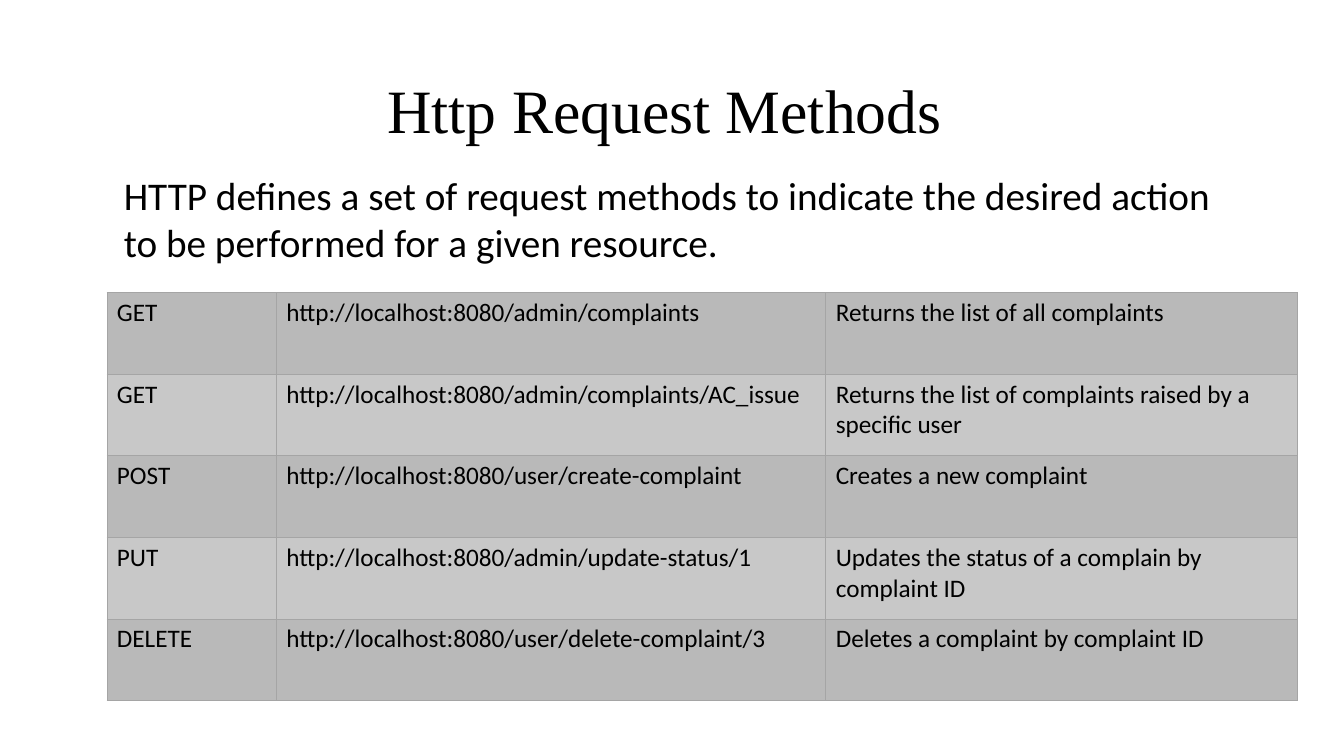
from lxml import etree
from pptx import Presentation
from pptx import util as u
from pptx.dml import color
from pptx.enum import text
from pptx.oxml import ns

WIDTH, HEIGHT = u.Inches(13.33), u.Inches(7.5)
COLORS = {"ink": "000000", "border": "A5A5A5", "odd": "B9B9B9", "even": "C8C8C8"}
COLUMN_WIDTHS = (1.68, 5.45, 4.68)
ROW_HEIGHT = 0.81
METHODS = (
    ("GET", "http://localhost:8080/admin/complaints",
     "Returns the list of all complaints"),
    ("GET", "http://localhost:8080/admin/complaints/AC_issue",
     "Returns the list of complaints raised by a specific user"),
    ("POST", "http://localhost:8080/user/create-complaint",
     "Creates a new complaint"),
    ("PUT", "http://localhost:8080/admin/update-status/1",
     "Updates the status of a complain by complaint ID"),
    ("DELETE", "http://localhost:8080/user/delete-complaint/3",
     "Deletes a complaint by complaint ID"),
)


def rgb(name):
    return color.RGBColor.from_string(COLORS[name])


def write(paragraph, words, size, font="Calibri"):
    paragraph.text = words
    paragraph.font.name = font
    paragraph.font.size = u.Pt(size)
    paragraph.font.color.rgb = rgb("ink")


def add_text(page, place, words, size, **style):
    """Add a wrapped text box and return it."""
    box = page.shapes.add_textbox(*(u.Inches(length) for length in place))
    box.text_frame.word_wrap = True
    write(box.text_frame.paragraphs[0], words, size, **style)
    return box


def add_borders(cell):
    """Draw a thin line on all four sides; lines come before the fill."""
    properties = cell._tc.get_or_add_tcPr()
    for index, side in enumerate(("lnL", "lnR", "lnT", "lnB")):
        line = etree.Element(ns.qn(f"a:{side}"), w=str(u.Pt(0.5)))
        fill = etree.SubElement(line, ns.qn("a:solidFill"))
        etree.SubElement(fill, ns.qn("a:srgbClr"), val=COLORS["border"])
        properties.insert(index, line)


def add_methods_table(page, left, top):
    frame = page.shapes.add_table(
        len(METHODS), len(COLUMN_WIDTHS), u.Inches(left), u.Inches(top),
        u.Inches(sum(COLUMN_WIDTHS)), u.Inches(ROW_HEIGHT * len(METHODS)))
    table = frame.table
    table.first_row = table.horz_banding = False
    for column, width in zip(table.columns, COLUMN_WIDTHS):
        column.width = u.Inches(width)
    for number, (row, method) in enumerate(zip(table.rows, METHODS)):
        row.height = u.Inches(ROW_HEIGHT)
        for cell, words in zip(row.cells, method):
            write(cell.text_frame.paragraphs[0], words, 18)
            cell.fill.solid()
            cell.fill.fore_color.rgb = rgb("even" if number % 2 else "odd")
            add_borders(cell)


def main():
    deck = Presentation()
    deck.slide_width, deck.slide_height = WIDTH, HEIGHT
    page = deck.slides.add_slide(deck.slide_layouts[6])

    # Title
    title = add_text(page, (0.92, 0.4, 11.5, 1.45), "Http Request Methods ", 44,
                     font="Times New Roman")
    title.text_frame.vertical_anchor = text.MSO_ANCHOR.MIDDLE
    heading = title.text_frame.paragraphs[0]
    heading.alignment = text.PP_ALIGN.CENTER
    heading.line_spacing = 0.9

    # Table of request methods
    add_methods_table(page, 1.06, 2.9)

    # Introduction
    add_text(page, (1.13, 1.65, 11.08, 1.04),
             "HTTP defines a set of request methods to indicate the desired action\n"
             "to be performed for a given resource.", 28)

    deck.save("out.pptx")


if __name__ == "__main__":
    main()
